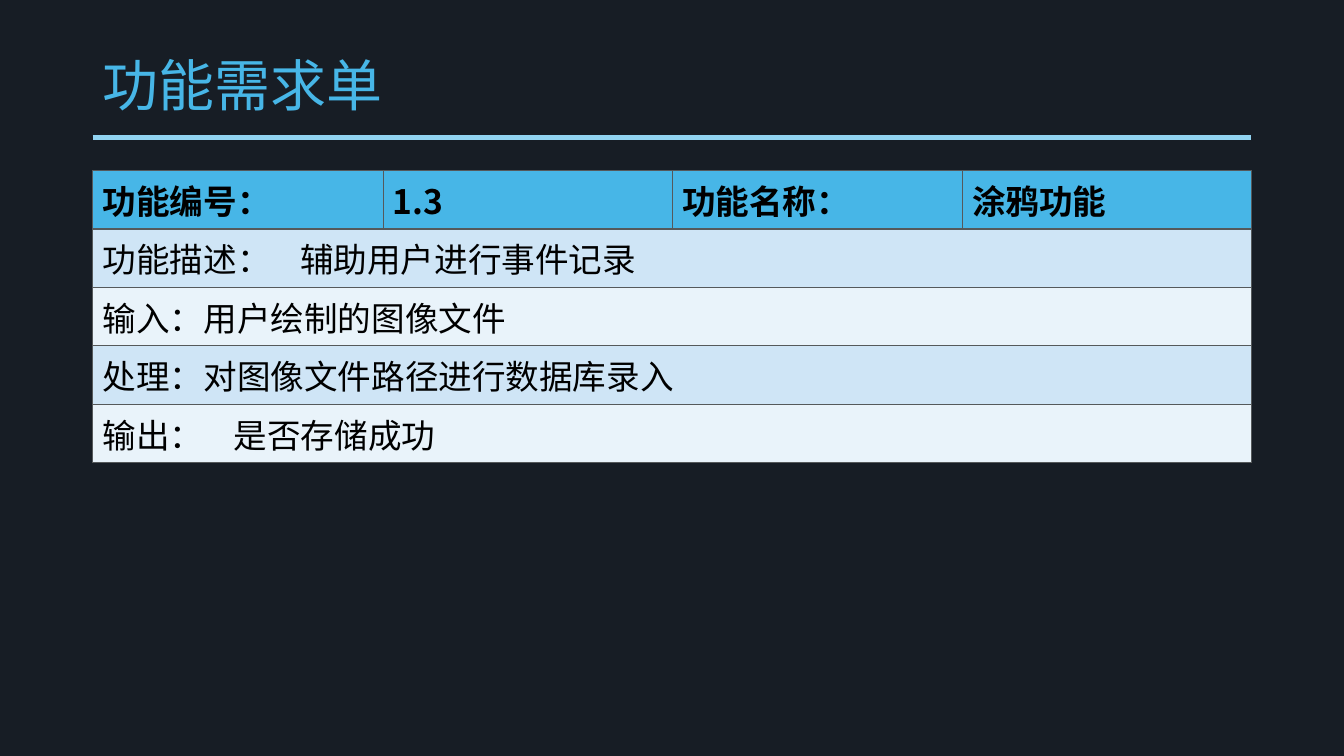
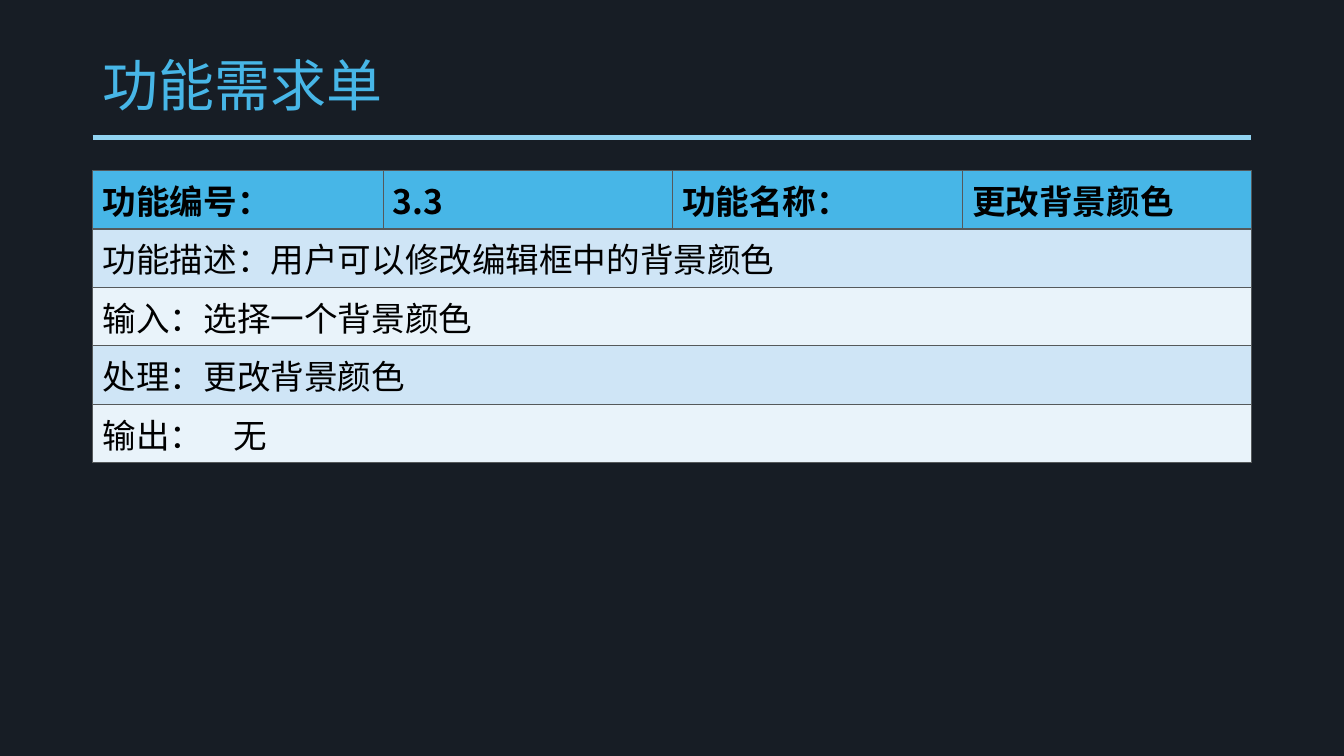
from lxml.etree import SubElement
from pptx import Presentation
from pptx.dml.color import RGBColor
from pptx.enum.shapes import MSO_CONNECTOR
from pptx.enum.text import MSO_ANCHOR
from pptx.oxml.ns import qn
from pptx.util import Pt

PX = 9144
SLIDE_WIDTH, SLIDE_HEIGHT = 1334, 750
LEFT, WIDTH = 92, 1150
TITLE_TOP, TITLE_HEIGHT = 40, 95
RULE_TOP = 136
TABLE_TOP, ROW_HEIGHT = 169, 58
COLUMNS = (288, 287, 288, 287)
GLYPH_WIDTH, VALUE_GAP = 33, 31

NIGHT = RGBColor(0x17, 0x1D, 0x25)
SKY = RGBColor(0x47, 0xB6, 0xE7)
PALE_SKY = RGBColor(0x91, 0xD3, 0xF1)
BAND_DARK = RGBColor(0xCF, 0xE5, 0xF6)
BAND_LIGHT = RGBColor(0xE9, 0xF3, 0xFA)
BORDER = RGBColor(0x55, 0x59, 0x5B)
BLACK = RGBColor(0, 0, 0)

CJK_FONT = "Noto Sans CJK SC"
TITLE_FORMAT = {"name": "Arial", "size": Pt(40), "bold": False}
HEADER_FORMAT = {"name": CJK_FONT, "size": Pt(24), "bold": True}
BODY_FORMAT = {**HEADER_FORMAT, "bold": False}
THIN, THICK = Pt(0.45), Pt(1.47)

TITLE = "功能需求单"
REQUIREMENTS = (
    (
        ("功能编号：", "1.3", "功能名称：", "涂鸦功能"),
        (
            "功能描述：\t辅助用户进行事件记录",
            "输入：用户绘制的图像文件",
            "处理：对图像文件路径进行数据库录入",
            "输出：\t是否存储成功",
        ),
    ),
    (
        ("功能编号：", "3.3", "功能名称：", "更改背景颜色"),
        (
            "功能描述：用户可以修改编辑框中的背景颜色",
            "输入：选择一个背景颜色",
            "处理：更改背景颜色",
            "输出：\t无",
        ),
    ),
)


def px(*lengths):
    return [length * PX for length in lengths]


def write_text(para, text, style, color):
    span = para.add_run()
    span.text = text
    for name, value in style.items():
        setattr(span.font, name, value)
    span.font.color.rgb = color
    SubElement(span.font._element, qn("a:ea"), typeface=CJK_FONT)


def add_tab_stop(para, position):
    stops = SubElement(para._p.get_or_add_pPr(), qn("a:tabLst"))
    SubElement(stops, qn("a:tab"), pos=str(position * PX), algn="l")


def add_title(page, text):
    box = page.shapes.add_textbox(*px(LEFT, TITLE_TOP, WIDTH, TITLE_HEIGHT))
    frame = box.text_frame
    frame.word_wrap = True
    frame.vertical_anchor = MSO_ANCHOR.MIDDLE
    para = frame.paragraphs[0]
    para.line_spacing = 0.9
    write_text(para, text, TITLE_FORMAT, SKY)


def add_rule(page):
    ends = px(LEFT, RULE_TOP, LEFT + WIDTH, RULE_TOP)
    rule = page.shapes.add_connector(MSO_CONNECTOR.STRAIGHT, *ends)
    rule.line.color.rgb = PALE_SKY
    rule.line.width = Pt(3.5)
    SubElement(rule._element.spPr, qn("a:effectLst"))


def style_cell(cell, color, top, bottom):
    properties = cell._tc.get_or_add_tcPr()
    borders = {"lnL": THIN, "lnR": THIN, "lnT": top, "lnB": bottom}
    for side, width in borders.items():
        line = SubElement(properties, qn(f"a:{side}"), w=str(int(width)))
        fill = SubElement(line, qn("a:solidFill"))
        SubElement(fill, qn("a:srgbClr"), val=str(BORDER))
    cell.fill.solid()
    cell.fill.fore_color.rgb = color


def fill_header(table, texts):
    for cell, text in zip(table.rows[0].cells, texts):
        style_cell(cell, SKY, THIN, THICK)
        write_text(cell.text_frame.paragraphs[0], text, HEADER_FORMAT, BLACK)


def fill_body_row(table, row, text):
    color = BAND_DARK if row % 2 else BAND_LIGHT
    for cell in table.rows[row].cells:
        style_cell(cell, color, THICK if row == 1 else THIN, THIN)
    first = table.cell(row, 0)
    first.merge(table.cell(row, len(COLUMNS) - 1))
    para = first.text_frame.paragraphs[0]
    label, tab, _ = text.partition("\t")
    if tab:
        add_tab_stop(para, len(label) * GLYPH_WIDTH + VALUE_GAP)
    write_text(para, text, BODY_FORMAT, BLACK)


def add_requirement_table(page, header, body):
    rows = len(body) + 1
    bounds = px(LEFT, TABLE_TOP, WIDTH, rows * ROW_HEIGHT)
    table = page.shapes.add_table(rows, len(COLUMNS), *bounds).table
    for column, width in zip(table.columns, px(*COLUMNS)):
        column.width = width
    fill_header(table, header)
    for row, text in enumerate(body, start=1):
        fill_body_row(table, row, text)


def add_page(deck):
    page = deck.slides.add_slide(deck.slide_layouts[6])
    page.background.fill.solid()
    page.background.fill.fore_color.rgb = NIGHT
    add_rule(page)
    add_title(page, TITLE)
    return page


def main():
    deck = Presentation()
    deck.slide_width, deck.slide_height = px(SLIDE_WIDTH, SLIDE_HEIGHT)
    for header, body in REQUIREMENTS:
        add_requirement_table(add_page(deck), header, body)
    deck.save("out.pptx")


if __name__ == "__main__":
    main()
